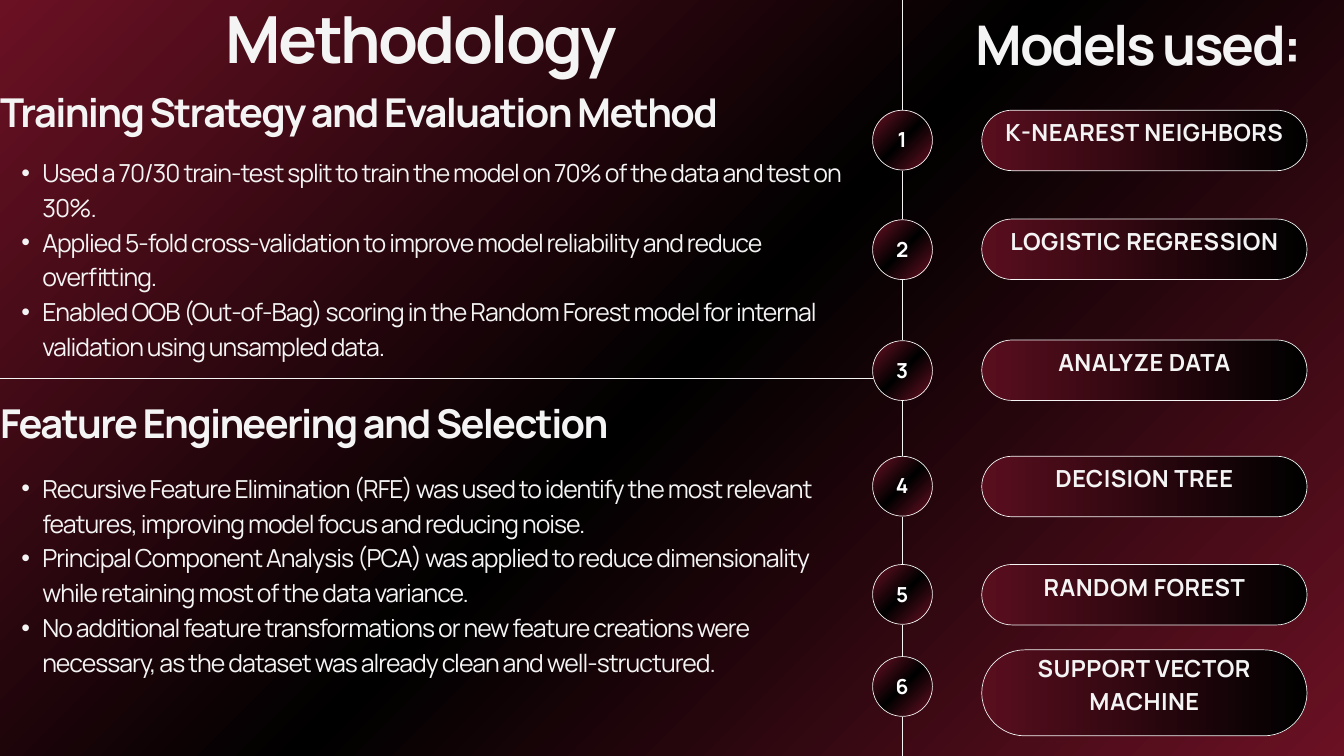
from pptx import Presentation, util as u
from pptx.dml.color import RGBColor
from pptx.enum import shapes, text
from pptx.oxml import parse_xml
from pptx.oxml.ns import nsdecls, qn
from lxml import etree

# Content
TITLE = "Methodology"
MODELS_TITLE = "Models used:"
SECTIONS = [  # heading, heading top, bullets top, bullets
    ("Training Strategy and Evaluation Method", 1.45, 2.27, [
        "Used a 70/30 train-test split to train the model on 70% of the data and test on 30%.",
        "Applied 5-fold cross-validation to improve model reliability and reduce overfitting.",
        "Enabled OOB (Out-of-Bag) scoring in the Random Forest model for internal "
        "validation using unsampled data.",
    ]),
    ("Feature Engineering and Selection", 6.08, 6.97, [
        "Recursive Feature Elimination (RFE) was used to identify the most relevant "
        "features, improving model focus and reducing noise.",
        "Principal Component Analysis (PCA) was applied to reduce dimensionality "
        "while retaining most of the data variance.",
        "No additional feature transformations or new feature creations were "
        "necessary, as the dataset was already clean and well-structured.",
    ]),
]
MODELS = [  # name, pill top, pill height, marker top
    ("K-NEAREST NEIGHBORS", 1.64, 0.9, 1.64),
    ("LOGISTIC REGRESSION", 3.26, 0.9, 3.27),
    ("ANALYZE DATA", 5.06, 0.9, 5.07),
    ("DECISION TREE", 6.79, 0.9, 6.79),
    ("RANDOM FOREST", 8.4, 0.9, 8.4),
    ("SUPPORT VECTOR MACHINE", 9.67, 1.28, 9.77),
]

# Style and layout, in inches
COLORS = {"wine": "6B1124", "dark_wine": "590E1E", "black": "000000",
          "light": "F4F4F4", "white": "FFFFFF"}
STYLES = {  # size, line spacing, letter spacing, bold, colour
    "title": (69.6, 66.1, -2.9, True, "light"),
    "models_title": (58.6, 55.7, -2.5, True, "light"),
    "heading": (42.6, 40.5, -1.8, True, "light"),
    "body": (26.6, 37.3, -1.1, False, "light"),
    "pill": (25.2, 35.3, 0.5, True, "light"),
    "marker": (22.2, 31.1, 0.5, True, "white"),
}
FONT = "Manrope"
WIDTH, HEIGHT = 20, 11.25
AXIS_X = 13.43
MARKER = 0.89
PILL_LEFT, PILL_WIDTH = 14.61, 4.84
LABEL_RISE = 0.31
GLOW = [(0, "wine"), (50, "black"), (100, "wine")]
FADE = [(0, "dark_wine"), (100, "black")]
CORNER = '<a:path path="circle"><a:fillToRect l="0" t="0" r="100000" b="100000"/></a:path>'
ACROSS = '<a:lin ang="0" scaled="0"/>'


def set_gradient(fill, element, stops, direction):
    """Give the fill the stops and direction; element is the one holding it."""
    fill.gradient()
    gradient = next(element.iter(qn("a:gradFill")))
    stop_xml = "".join(
        f'<a:gs pos="{position * 1000}"><a:srgbClr val="{COLORS[name]}"/></a:gs>'
        for position, name in stops)
    gradient.getparent().replace(gradient, parse_xml(
        f'<a:gradFill rotWithShape="1" {nsdecls("a")}>'
        f'<a:gsLst>{stop_xml}</a:gsLst>{direction}</a:gradFill>'))


def set_line(line):
    line.color.rgb = RGBColor.from_string(COLORS["light"])
    line.width = u.Pt(0.75)


def add_line(parent, *ends):
    connector = parent.add_connector(
        shapes.MSO_CONNECTOR.STRAIGHT, *[u.Inches(value) for value in ends])
    set_line(connector.line)
    etree.SubElement(connector._element.spPr, qn("a:effectLst"))


def add_outlined(parent, preset, box, stops, direction):
    shape = parent.add_shape(preset, *[u.Inches(value) for value in box])
    shape.shadow.inherit = False
    set_gradient(shape.fill, shape._element.spPr, stops, direction)
    set_line(shape.line)
    return shape


def add_text(parent, lines, box, style, centered=False, bulleted=False,
             inset=0, anchor=text.MSO_ANCHOR.TOP):
    size, line_spacing, letter_spacing, bold, color = STYLES[style]
    frame = parent.add_textbox(*[u.Inches(value) for value in box]).text_frame
    frame.word_wrap = True
    frame.vertical_anchor = anchor
    frame.margin_left = frame.margin_right = u.Inches(inset)
    frame.margin_top = frame.margin_bottom = u.Inches(inset)
    frame.text = "\n".join(lines)
    for paragraph in frame.paragraphs:
        paragraph.alignment = text.PP_ALIGN.CENTER if centered else text.PP_ALIGN.LEFT
        paragraph.line_spacing = u.Pt(line_spacing)
        if bulleted:
            paragraph.level = 1
            properties = paragraph._p.get_or_add_pPr()
            properties.set("marL", str(u.Inches(0.63)))
            properties.set("indent", str(u.Inches(-0.31)))
            etree.SubElement(properties, qn("a:buFont")).set("typeface", "Arial")
            etree.SubElement(properties, qn("a:buChar")).set("char", "•")
        for run in paragraph.runs:
            run.font.name = FONT
            run.font.size = u.Pt(size)
            run.font.bold = bold
            run.font.color.rgb = RGBColor.from_string(COLORS[color])
            run._r.get_or_add_rPr().set("spc", str(round(letter_spacing * 100)))


def add_model(slide, number, name, pill_top, pill_height, marker_top):
    # Pill with the model's name
    pill = slide.shapes.add_group_shape().shapes
    outline = add_outlined(pill, shapes.MSO_SHAPE.ROUNDED_RECTANGLE,
                           (PILL_LEFT, pill_top, PILL_WIDTH, pill_height), FADE, ACROSS)
    outline.adjustments[0] = 0.5
    add_text(pill, [name],
             (PILL_LEFT, pill_top - LABEL_RISE, PILL_WIDTH, pill_height + LABEL_RISE),
             "pill", centered=True, inset=0.06, anchor=text.MSO_ANCHOR.MIDDLE)

    # Numbered marker on the axis
    marker = slide.shapes.add_group_shape().shapes
    left = AXIS_X - MARKER / 2
    add_outlined(marker, shapes.MSO_SHAPE.OVAL,
                 (left, marker_top, MARKER, MARKER), GLOW, CORNER)
    add_text(marker, [str(number)], (left + 0.08, marker_top + 0.01, 0.72, 0.79),
             "marker", centered=True, inset=0.06, anchor=text.MSO_ANCHOR.MIDDLE)


def main():
    presentation = Presentation()
    presentation.slide_width = u.Inches(WIDTH)
    presentation.slide_height = u.Inches(HEIGHT)
    slide = presentation.slides.add_slide(presentation.slide_layouts[6])
    set_gradient(slide.background.fill, slide._element, GLOW, CORNER)

    # Dividers
    add_line(slide.shapes, 0, HEIGHT / 2, AXIS_X, HEIGHT / 2)
    add_line(slide.shapes, AXIS_X, HEIGHT, AXIS_X, 0)

    # Models along the axis
    for number, model in enumerate(MODELS, 1):
        add_model(slide, number, *model)

    # Titles and sections
    add_text(slide.shapes, [TITLE], (1.56, 0.22, 9.43, 1.04), "title", centered=True)
    add_text(slide.shapes, [MODELS_TITLE], (14.45, 0.37, 5, 0.88),
             "models_title", centered=True)
    for heading, heading_top, bullets_top, bullets in SECTIONS:
        add_text(slide.shapes, [heading], (0, heading_top, 12.99, 0.64), "heading")
        add_text(slide.shapes, bullets, (0, bullets_top, 12.54, 3.69), "body", bulleted=True)

    presentation.save("out.pptx")


if __name__ == "__main__":
    main()
